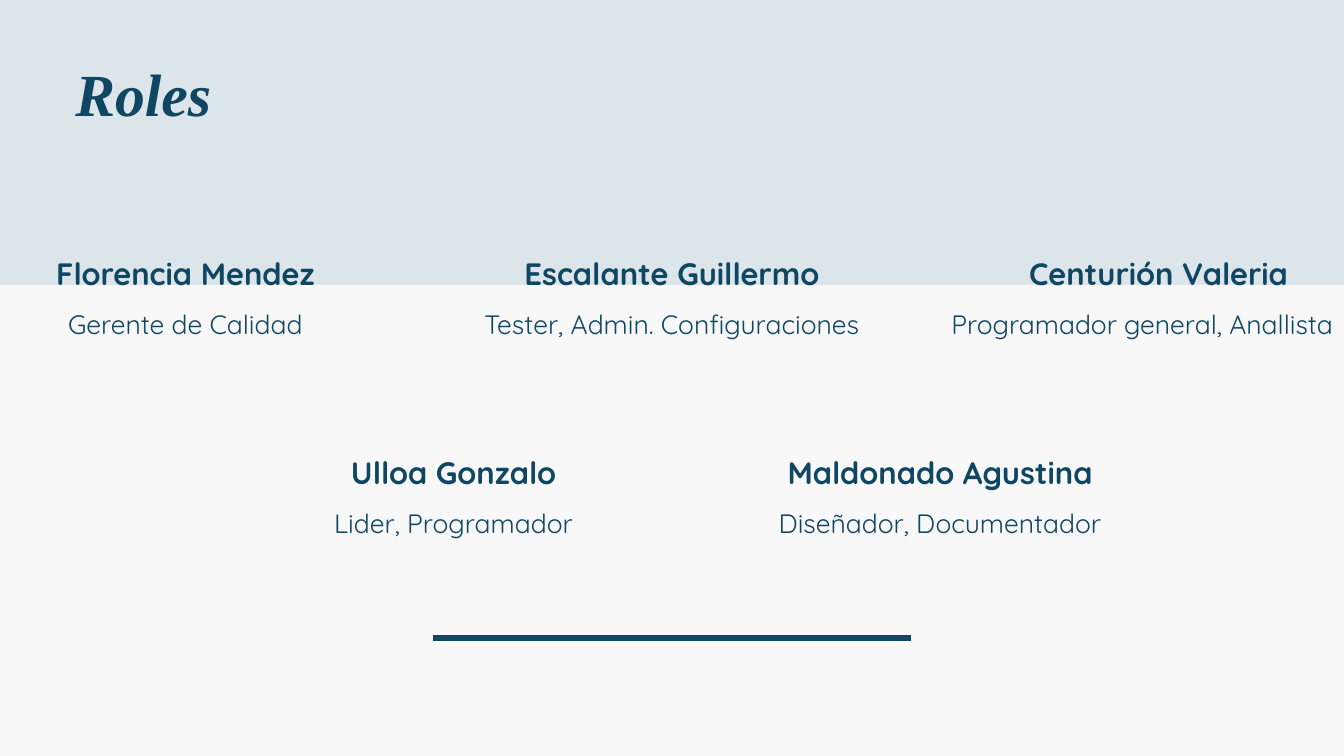
from dataclasses import dataclass

from lxml.etree import SubElement
from pptx import Presentation
from pptx.dml.color import RGBColor
from pptx.enum.shapes import MSO_CONNECTOR, MSO_SHAPE
from pptx.enum.text import MSO_ANCHOR, MSO_AUTO_SIZE, PP_ALIGN
from pptx.oxml.ns import qn
from pptx.util import Inches, Pt

WIDTH, HEIGHT = 20, 11.25
COLS, ROWS = 20, 11.25


@dataclass(frozen=True)
class Theme:
    ink: RGBColor = RGBColor.from_string("0F4662")
    pale: RGBColor = RGBColor.from_string("DBE5EA")
    paper: RGBColor = RGBColor.from_string("F8F8F8")
    serif: str = "Times New Roman"
    sans: str = "Quicksand"
    head: float = 64
    name: float = 33.1
    role: float = 28.4
    rule: float = 6


def apply(target, values):
    for key, value in values.items():
        setattr(target, key, value)


class Board:
    def __init__(self, deck, theme):
        self.deck = deck
        self.theme = theme
        self.slide = deck.slides.add_slide(deck.slide_layouts[5])
        fill = self.slide.background.fill
        fill.solid()
        fill.fore_color.rgb = theme.paper

    def across(self, cols):
        return round(self.deck.slide_width * cols / COLS)

    def down(self, rows):
        return round(self.deck.slide_height * rows / ROWS)

    def place(self, left, top, width, height):
        return (self.across(left), self.down(top),
                self.across(width), self.down(height))

    def band(self, *cell):
        shape = self.slide.shapes.add_shape(MSO_SHAPE.RECTANGLE, *self.place(*cell))
        shape.shadow.inherit = False
        shape.fill.solid()
        shape.fill.fore_color.rgb = self.theme.pale
        shape.line.fill.background()
        tree = self.slide.shapes.element
        tree.remove(shape.element)
        tree.insert(2, shape.element)

    def letter(self, shape, text, align, space, **style):
        frame = shape.text_frame
        apply(frame, dict(
            text=text, word_wrap=True, auto_size=MSO_AUTO_SIZE.SHAPE_TO_FIT_TEXT,
            vertical_anchor=MSO_ANCHOR.TOP, margin_left=0, margin_top=0,
            margin_right=0, margin_bottom=0))
        line = frame.paragraphs[0]
        apply(line, dict(alignment=align, line_spacing=Pt(space)))
        font = line.runs[0].font
        apply(font, style)
        font.color.rgb = self.theme.ink

    def title(self, text, *cell):
        shape = self.slide.shapes.title
        apply(shape, dict(zip(("left", "top", "width", "height"), self.place(*cell))))
        self.letter(shape, text, PP_ALIGN.LEFT, 89.6, name=self.theme.serif,
                    size=Pt(self.theme.head), bold=True, italic=True)

    def label(self, text, mid, top, height, size, space, bold):
        width = 6.5
        cell = self.place(mid - width / 2, top, width, height)
        self.letter(self.slide.shapes.add_textbox(*cell), text, PP_ALIGN.CENTER,
                    space, name=self.theme.sans, size=Pt(size), bold=bold)

    def card(self, name, role, mid, top, shift=0):
        self.label(name, mid, top, 0.61, self.theme.name, 46.4, True)
        self.label(role, mid + shift, top + 0.81, 0.52, self.theme.role, 39.8, False)

    def rule(self, left, right, row):
        line = self.slide.shapes.add_connector(
            MSO_CONNECTOR.STRAIGHT, self.across(left), self.down(row),
            self.across(right), self.down(row))
        line.line.color.rgb = self.theme.ink
        line.line.width = Pt(self.theme.rule)
        SubElement(line.element.spPr, qn("a:effectLst"))


TEAM = [
    (10, 3.69, [
        ("Florencia Mendez", "Gerente de Calidad", 0),
        ("Escalante Guillermo", "Tester, Admin. Configuraciones", 0),
        ("Centurión Valeria", "Programador general, Anallista", -0.24),
    ]),
    (10.37, 6.66, [
        ("Ulloa Gonzalo", "Lider, Programador", 0),
        ("Maldonado Agustina", "Diseñador, Documentador", 0),
    ]),
]
STEP = 7.24


def main():
    deck = Presentation()
    apply(deck, dict(slide_width=Inches(WIDTH), slide_height=Inches(HEIGHT)))
    board = Board(deck, Theme())
    board.band(0, -0.24, COLS, 4.48)
    board.title("Roles", 1.12, 0.66, 10.84, 1.19)
    for mid, top, people in TEAM:
        first = mid - STEP * (len(people) - 1) / 2
        for spot, (name, role, shift) in enumerate(people):
            board.card(name, role, first + spot * STEP, top, shift)
    board.rule(6.45, 13.55, 9.49)
    deck.save("out.pptx")


if __name__ == "__main__":
    main()
